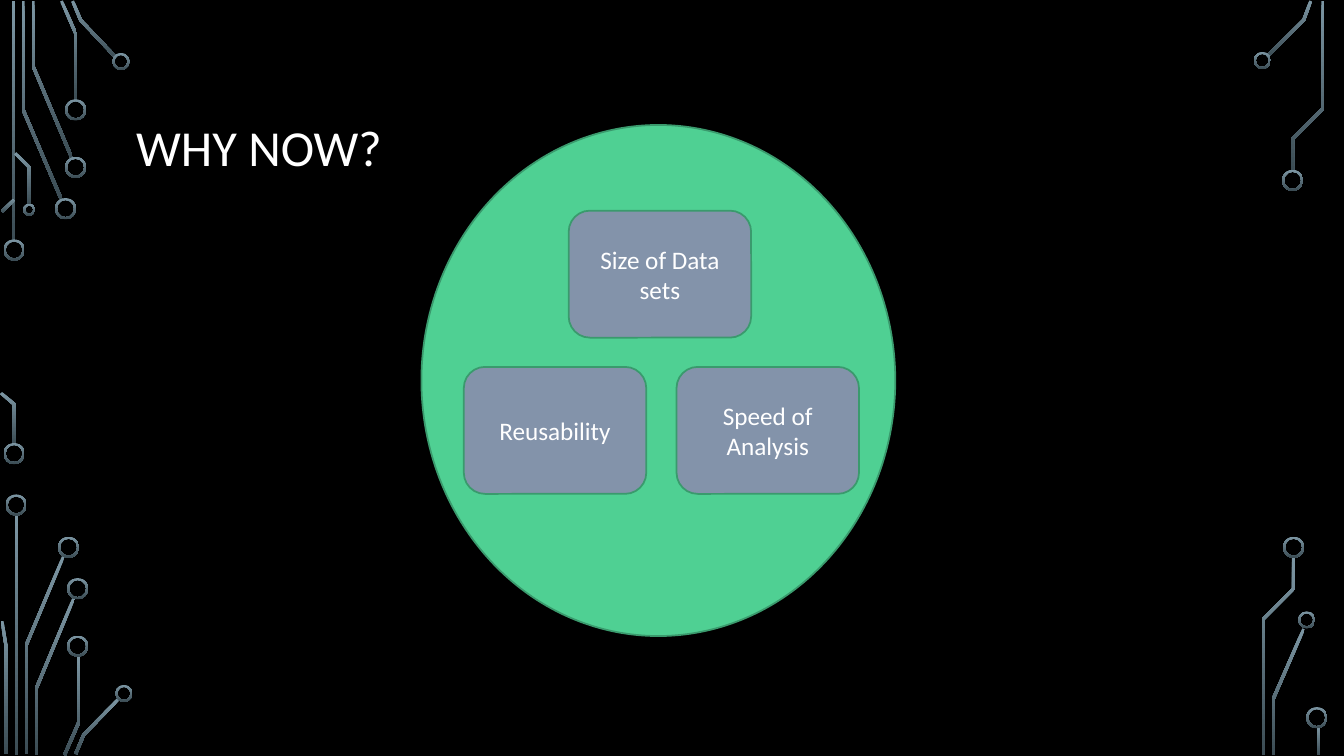
from dataclasses import dataclass
from math import hypot

from pptx import Presentation
from pptx.dml.color import RGBColor
from pptx.enum.shapes import MSO_SHAPE
from pptx.enum.text import MSO_ANCHOR, MSO_AUTO_SIZE, PP_ALIGN
from pptx.util import Inches, Pt

RECTANGLE, DONUT = MSO_SHAPE.RECTANGLE, MSO_SHAPE.DONUT
OVAL, ROUNDED = MSO_SHAPE.OVAL, MSO_SHAPE.ROUNDED_RECTANGLE
LEFT, CENTER = PP_ALIGN.LEFT, PP_ALIGN.CENTER
MIDDLE, NO_FIT = MSO_ANCHOR.MIDDLE, MSO_AUTO_SIZE.NONE
TITLE_ONLY = 5


@dataclass(frozen=True)
class Theme:
    background: str = "000000"
    text: str = "FFFFFF"
    circle: str = "4FD093"
    box: str = "8393AA"
    outline: str = "3A9A6D"
    circuit_top: str = "7C96A3"
    circuit_bottom: str = "3B4C54"
    font: str = "Calibri"
    title_size: int = 36
    box_size: int = 18
    outline_width: float = 1.25


THEME = Theme()
TITLE = "WHY NOW?"
TITLE_AREA = (1.25, 0.68, 10.83, 1.62)
CIRCLE_AREA = (4.18, 1.24, 4.7, 5.07)
BOX_SIZE = (1.81, 1.26)
REASONS = [
    ("Size of Data sets", 5.64, 2.09),
    ("Reusability", 4.6, 3.64),
    ("Speed of Analysis", 6.71, 3.64),
]

TRACE_WIDTH = 0.03
STEMS = [(0.12, 0.01, 2.39), (0.15, 5.1, 2.39), (13.06, 7.21, 0.28)]
TRACES = [
    [(0.61, 1.98), (0.23, 1.09), (0.23, 0.01)],
    [(0.71, 1.56), (0.33, 0.66), (0.33, 0.01)],
    [(0.75, 1), (0.75, 0.33), (0.61, 0.01)],
    [(1.15, 0.57), (0.8, 0.2), (0.72, 0.01)],
    [(0.02, 2.1), (0.14, 1.98)],
    [(0.14, 4.41), (0.14, 4.01), (0.01, 3.9)],
    [(0.29, 2.03), (0.29, 1.66), (0.15, 1.52)],
    [(0.26, 7.48), (0.26, 6.4), (0.63, 5.52)],
    [(0.06, 7.48), (0.06, 6.41), (0.02, 6.16)],
    [(0.36, 7.49), (0.36, 6.83), (0.73, 5.94)],
    [(0.64, 7.49), (0.78, 7.17), (0.78, 6.5)],
    [(0.75, 7.48), (0.83, 7.29), (1.18, 6.93)],
    [(12.57, 0.56), (12.93, 0.2), (13, 0.01)],
    [(12.63, 7.49), (12.63, 6.93), (12.93, 6.24)],
    [(12.82, 1.69), (12.82, 1.38), (13.12, 1.08), (13.12, 0.01)],
    [(12.53, 7.49), (12.53, 6.14), (12.83, 5.84), (12.83, 5.52)],
]
RING_WALL = 0.02
RINGS = {
    0.21: [(0.14, 2.48), (0.14, 4.5), (0.65, 2.07), (0.75, 1.66), (0.75, 1.09),
           (0.16, 5.01), (0.68, 5.43), (0.77, 5.84), (0.77, 6.41),
           (12.82, 1.79), (12.83, 5.43), (13.06, 7.12)],
    0.17: [(1.2, 0.61), (1.23, 6.88), (12.52, 0.6), (12.96, 6.15)],
    0.12: [(0.29, 2.08)],
}


def color(code):
    return RGBColor.from_string(code)


def inches(values):
    return [Inches(value) for value in values]


def paint_circuit(shape):
    shape.shadow.inherit = False
    shape.line.fill.background()
    shape.fill.gradient()
    shape.fill.gradient_angle = 270
    codes = (THEME.circuit_top, THEME.circuit_bottom)
    for position, (stop, code) in enumerate(zip(shape.fill.gradient_stops, codes)):
        stop.position = position
        stop.color.rgb = color(code)


def ribbon(points):
    normals = []
    for (x1, y1), (x2, y2) in zip(points, points[1:]):
        length = hypot(x2 - x1, y2 - y1)
        normals.append(((y1 - y2) / length, (x2 - x1) / length))
    before, after = normals[:1] + normals, normals + normals[-1:]
    one_side, other_side = [], []
    for (x, y), (ax, ay), (bx, by) in zip(points, before, after):
        reach = TRACE_WIDTH / 2 / (1 + ax * bx + ay * by)
        shift_x, shift_y = (ax + bx) * reach, (ay + by) * reach
        one_side.append(inches((x + shift_x, y + shift_y)))
        other_side.append(inches((x - shift_x, y - shift_y)))
    return one_side + other_side[::-1]


def draw_circuit(shapes):
    for left, top, height in STEMS:
        area = inches((left, top, TRACE_WIDTH, height))
        paint_circuit(shapes.add_shape(RECTANGLE, *area))
    for trace in TRACES:
        first, *rest = ribbon(trace)
        builder = shapes.build_freeform(*first)
        builder.add_line_segments(rest, close=True)
        paint_circuit(builder.convert_to_shape())
    for diameter, centers in RINGS.items():
        for x, y in centers:
            area = inches((x - diameter / 2, y - diameter / 2, diameter, diameter))
            ring = shapes.add_shape(DONUT, *area)
            ring.adjustments[0] = RING_WALL / diameter
            paint_circuit(ring)


def write(frame, text, size, alignment):
    frame.word_wrap = True
    frame.auto_size = NO_FIT
    frame.vertical_anchor = MIDDLE
    para = frame.paragraphs[0]
    para.alignment = alignment
    span = para.add_run()
    span.text = text
    span.font.name = THEME.font
    span.font.size = Pt(size)
    span.font.color.rgb = color(THEME.text)
    return para


def add_outlined(shapes, kind, area, fill):
    shape = shapes.add_shape(kind, *inches(area))
    shape.shadow.inherit = False
    shape.fill.solid()
    shape.fill.fore_color.rgb = color(fill)
    shape.line.color.rgb = color(THEME.outline)
    shape.line.width = Pt(THEME.outline_width)
    return shape


def main():
    deck = Presentation()
    deck.slide_width, deck.slide_height = Inches(13.33), Inches(7.5)
    page = deck.slides.add_slide(deck.slide_layouts[TITLE_ONLY])
    page.background.fill.solid()
    page.background.fill.fore_color.rgb = color(THEME.background)

    draw_circuit(page.shapes.add_group_shape().shapes)
    circle = add_outlined(page.shapes, OVAL, CIRCLE_AREA, THEME.circle)

    title = page.shapes.title
    title.left, title.top, title.width, title.height = inches(TITLE_AREA)
    write(title.text_frame, TITLE, THEME.title_size, LEFT).line_spacing = 0.9
    circle.element.addnext(title.element)

    for reason, left, top in REASONS:
        box = add_outlined(page.shapes, ROUNDED, (left, top, *BOX_SIZE), THEME.box)
        write(box.text_frame, reason, THEME.box_size, CENTER)

    deck.save("out.pptx")


if __name__ == "__main__":
    main()
